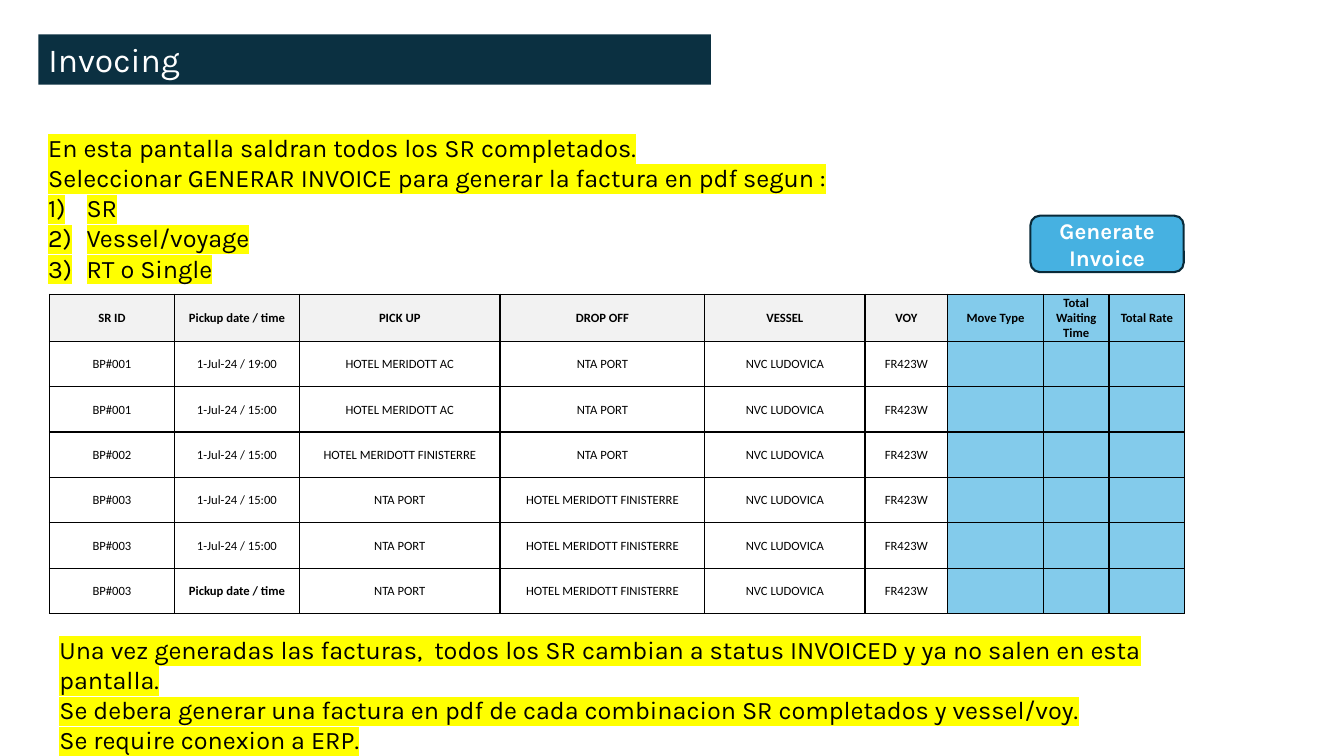
from dataclasses import dataclass

from lxml.etree import SubElement
from pptx import Presentation
from pptx.dml.color import RGBColor
from pptx.enum.shapes import MSO_SHAPE as Shape
from pptx.enum.text import MSO_ANCHOR as Anchor, MSO_AUTO_SIZE as AutoSize, PP_ALIGN as Align
from pptx.oxml.ns import qn
from pptx.util import Inches, Pt


@dataclass(frozen=True)
class Theme:
    body_font: str = "Karla"
    table_font: str = "Calibri"
    title_size: int = 24
    note_size: int = 18
    button_size: int = 16
    cell_size: int = 9
    border_width: float = 1
    outline_width: float = 1.5
    navy: str = "0B3041"
    outline: str = "092A39"
    button: str = "46B1E1"
    pending: str = "83CBEB"
    header: str = "F2F2F2"
    marker: str = "FFFF00"
    black: str = "000000"
    white: str = "FFFFFF"


THEME = Theme()

COLUMNS = [
    ("SR ID", 1.24),
    ("Pickup date / time", 1.24),
    ("PICK UP", 1.99),
    ("DROP OFF", 2.03),
    ("VESSEL", 1.59),
    ("VOY", 0.82),
    ("Move Type", 0.95),
    ("Total Waiting Time", 0.65),
    ("Total Rate", 0.75),
]
FIRST_PENDING = 6
PICKUP_HEADING = COLUMNS[1][0]

PORT = "NTA PORT"
HOTEL_CITY = "HOTEL MERIDOTT AC"
HOTEL_COAST = "HOTEL MERIDOTT FINISTERRE"
VOYAGE = ("NVC LUDOVICA", "FR423W")
TRIPS = [
    ("BP#001", "1-Jul-24 / 19:00", HOTEL_CITY, PORT),
    ("BP#001", "1-Jul-24 / 15:00", HOTEL_CITY, PORT),
    ("BP#002", "1-Jul-24 / 15:00", HOTEL_COAST, PORT),
    ("BP#003", "1-Jul-24 / 15:00", PORT, HOTEL_COAST),
    ("BP#003", "1-Jul-24 / 15:00", PORT, HOTEL_COAST),
    ("BP#003", PICKUP_HEADING, PORT, HOTEL_COAST),
]

INTRO = [
    "En esta pantalla saldran todos los SR completados.",
    "Seleccionar GENERAR INVOICE para generar la factura en pdf segun :",
]
CRITERIA = ["SR", "Vessel/voyage", "RT o Single"]
OUTCOME = [
    "Una vez generadas las facturas,  todos los SR cambian a status INVOICED y ya no salen en esta pantalla.",
    "Se debera generar una factura en pdf de cada combinacion SR completados y vessel/voy.",
    "Se require conexion a ERP.",
]


def rgb(color):
    return RGBColor.from_string(color)


def paint(target, color):
    target.fill.solid()
    target.fill.fore_color.rgb = rgb(color)


def write(paragraph, words, size, color, font=THEME.body_font, bold=False, marker=None):
    run = paragraph.add_run()
    run.text = words
    run.font.name = font
    run.font.size = Pt(size)
    run.font.bold = bold
    run.font.color.rgb = rgb(color)
    if marker:
        properties = run.font._element
        highlight = SubElement(properties, qn("a:highlight"))
        SubElement(highlight, qn("a:srgbClr"), val=marker)
        properties.find(qn("a:solidFill")).addnext(highlight)


def number(paragraph):
    properties = paragraph._p.get_or_add_pPr()
    properties.set("marL", str(Inches(0.38)))
    properties.set("indent", str(-Inches(0.38)))
    SubElement(properties, qn("a:buFont"), typeface="+mj-lt")
    SubElement(properties, qn("a:buAutoNum"), type="arabicParenR")


def add_title(slide, box):
    title = slide.shapes.title
    title.left, title.top, title.width, title.height = map(Inches, box)
    paint(title, THEME.navy)
    frame = title.text_frame
    frame.auto_size = AutoSize.NONE
    frame.vertical_anchor = Anchor.TOP
    heading = frame.paragraphs[0]
    heading.alignment = Align.LEFT
    write(heading, "Invocing", THEME.title_size, THEME.white)


def add_note(slide, box, sentences, criteria=()):
    frame = slide.shapes.add_textbox(*map(Inches, box)).text_frame
    frame.word_wrap = True
    for index, words in enumerate([*sentences, *criteria]):
        line = frame.add_paragraph() if index else frame.paragraphs[0]
        if index >= len(sentences):
            number(line)
        write(line, words, THEME.note_size, THEME.black, marker=THEME.marker)


def add_invoice_button(slide, box):
    button = slide.shapes.add_shape(Shape.ROUNDED_RECTANGLE, *map(Inches, box))
    button.shadow.inherit = False
    paint(button, THEME.button)
    button.line.color.rgb = rgb(THEME.outline)
    button.line.width = Pt(THEME.outline_width)
    frame = button.text_frame
    frame.word_wrap = True
    frame.vertical_anchor = Anchor.MIDDLE
    label = frame.paragraphs[0]
    label.alignment = Align.CENTER
    write(label, "Generate Invoice", THEME.button_size, THEME.white, bold=True)


def add_borders(cell):
    properties = cell._tc.get_or_add_tcPr()
    for side in ("lnL", "lnR", "lnT", "lnB"):
        border = SubElement(properties, qn(f"a:{side}"), w=str(Pt(THEME.border_width)))
        SubElement(SubElement(border, qn("a:solidFill")), qn("a:srgbClr"), val=THEME.black)


def fill_cell(cell, words, color, bold):
    cell.margin_left = cell.margin_right = cell.margin_top = Inches(0.01)
    cell.margin_bottom = 0
    cell.vertical_anchor = Anchor.MIDDLE
    add_borders(cell)
    paint(cell, color)
    line = cell.text_frame.paragraphs[0]
    line.alignment = Align.CENTER
    if words:
        write(line, words, THEME.cell_size, THEME.black, THEME.table_font, bold)
    else:
        line.font.size = Pt(THEME.cell_size)


def add_trip_table(slide, box):
    blanks = ("",) * (len(COLUMNS) - FIRST_PENDING)
    rows = [[heading for heading, _ in COLUMNS]]
    rows += [trip + VOYAGE + blanks for trip in TRIPS]
    frame = slide.shapes.add_table(len(rows), len(COLUMNS), *map(Inches, box))
    table = frame.table
    table.first_row = table.horz_banding = False
    for column, (_, width) in zip(table.columns, COLUMNS):
        column.width = Inches(width)
    for r, row in enumerate(rows):
        table.rows[r].height = Inches(box[3] / len(rows))
        for c, words in enumerate(row):
            base = THEME.white if r else THEME.header
            color = THEME.pending if c >= FIRST_PENDING else base
            fill_cell(table.cell(r, c), words, color, r == 0 or words == PICKUP_HEADING)


def main():
    deck = Presentation()
    deck.slide_width, deck.slide_height = Inches(13.33), Inches(7.5)
    slide = deck.slides.add_slide(deck.slide_layouts[5])
    add_trip_table(slide, (0.49, 2.92, 11.26, 3.15))
    add_title(slide, (0.38, 0.34, 6.67, 0.5))
    add_note(slide, (0.38, 1.26, 7.95, 1.62), INTRO, CRITERIA)
    add_invoice_button(slide, (10.22, 2.14, 1.52, 0.56))
    add_note(slide, (0.49, 6.24, 11.52, 1.01), OUTCOME)
    deck.save("out.pptx")


if __name__ == "__main__":
    main()
